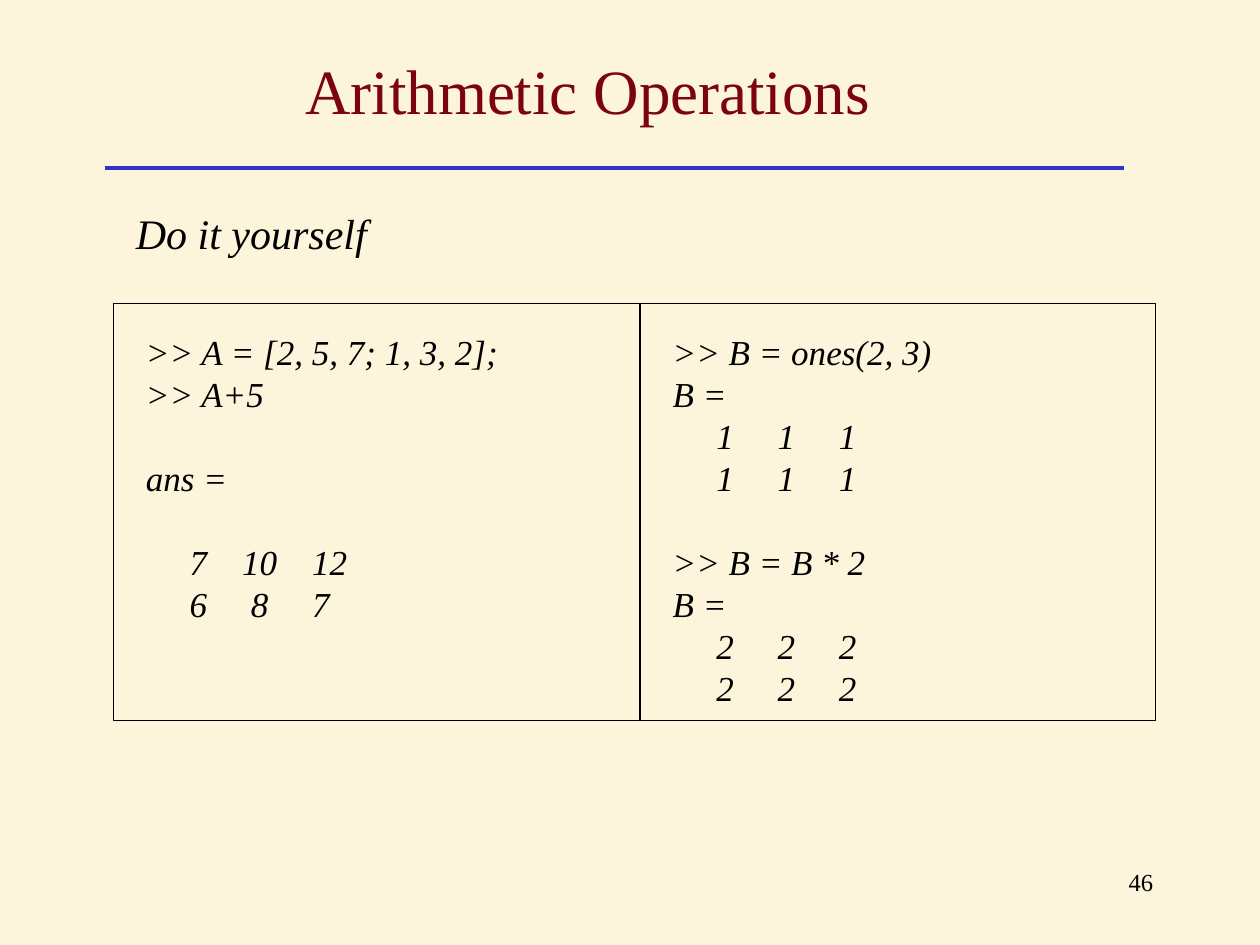
from dataclasses import dataclass

import pptx
import pptx.dml.color
import pptx.enum.shapes
import pptx.enum.text
import pptx.util
from lxml import etree
from pptx.oxml.ns import qn

WIDTH, HEIGHT = 10, 7.5
PP_ALIGN = pptx.enum.text.PP_ALIGN
MSO_ANCHOR = pptx.enum.text.MSO_ANCHOR


@dataclass(frozen=True)
class Theme:
    font: str = "Times New Roman"
    background: str = "FDF4DC"
    title: str = "7B0312"
    text: str = "000000"
    rule: str = "3333CC"
    title_pt: int = 36
    heading_pt: int = 24
    code_pt: int = 20
    number_pt: int = 14
    leading: float = 1.2
    rule_pt: float = 2.25
    frame_pt: float = 0.75


@dataclass(frozen=True)
class Box:
    """A rectangle in shares of the slide's width and height."""
    left: float
    top: float
    width: float
    height: float

    def emu(self) -> tuple:
        return (across(self.left), down(self.top),
                across(self.width), down(self.height))


@dataclass(frozen=True)
class Session:
    """Blocks of console lines, one blank line apart."""
    box: Box
    blocks: tuple


THEME = Theme()
TITLE = Box(0.058, 0.023, 0.817, 0.144)
HEADING = Box(0.098, 0.2133, 0.41, 0.0667)
FRAME = Box(0.09, 0.3213, 0.827, 0.4413)
NUMBER = Box(0.717, 0.9107, 0.208, 0.0667)
RULE_LEFT, RULE_RIGHT, RULE_TOP = 0.083, 0.892, 0.1777
DIVIDER = 0.508
PAD_X, PAD_Y = 0.016, 0.0213

SESSIONS = (
    Session(
        Box(FRAME.left + PAD_X, FRAME.top + PAD_Y, 0.386, 0.3253),
        ((">> A = [2, 5, 7; 1, 3, 2];", ">> A+5"),
         ("ans =",),
         ("     7    10    12", "     6     8     7"))),
    Session(
        Box(DIVIDER + PAD_X, FRAME.top + PAD_Y, 0.378, 0.4133),
        ((">> B = ones(2, 3)", "B =",
          "     1     1     1", "     1     1     1"),
         (">> B = B * 2", "B =",
          "     2     2     2", "     2     2     2"))),
)


def across(share: float) -> int:
    return pptx.util.Inches(share * WIDTH)


def down(share: float) -> int:
    return pptx.util.Inches(share * HEIGHT)


def rgb(color: str) -> pptx.dml.color.RGBColor:
    return pptx.dml.color.RGBColor.from_string(color)


def add_run(p, text: str, size: int, color: str = THEME.text,
            italic: bool = False) -> None:
    r = p.add_run()
    r.text = text
    r.font.name = THEME.font
    r.font.size = pptx.util.Pt(size)
    r.font.italic = italic
    r.font.color.rgb = rgb(color)


def add_text_frame(slide, box: Box):
    tf = slide.shapes.add_textbox(*box.emu()).text_frame
    tf.word_wrap = True
    return tf


def add_line(slide, x1: float, y1: float, x2: float, y2: float,
             color: str, weight: float) -> None:
    line = slide.shapes.add_connector(
        pptx.enum.shapes.MSO_CONNECTOR.STRAIGHT,
        across(x1), down(y1), across(x2), down(y2))
    line.line.color.rgb = rgb(color)
    line.line.width = pptx.util.Pt(weight)
    etree.SubElement(line._element.spPr, qn("a:effectLst"))


def add_title(slide, text: str) -> None:
    sp = slide.shapes.title
    sp.left, sp.top, sp.width, sp.height = TITLE.emu()
    tf = sp.text_frame
    tf.auto_size = pptx.enum.text.MSO_AUTO_SIZE.NONE
    tf.vertical_anchor = MSO_ANCHOR.MIDDLE
    p = tf.paragraphs[0]
    p.alignment = PP_ALIGN.CENTER
    add_run(p, text, THEME.title_pt, THEME.title)


def add_frame(slide) -> None:
    sp = slide.shapes.add_shape(
        pptx.enum.shapes.MSO_SHAPE.RECTANGLE, *FRAME.emu())
    sp.shadow.inherit = False
    sp.fill.background()
    sp.line.color.rgb = rgb(THEME.text)
    sp.line.width = pptx.util.Pt(THEME.frame_pt)
    add_line(slide, DIVIDER, FRAME.top, DIVIDER, FRAME.top + FRAME.height,
             THEME.text, THEME.frame_pt)


def add_session(slide, session: Session) -> None:
    tf = add_text_frame(slide, session.box)
    line_height = pptx.util.Pt(THEME.code_pt * THEME.leading)
    for b, block in enumerate(session.blocks):
        for i, text in enumerate(block):
            first = b == 0 and i == 0
            p = tf.paragraphs[0] if first else tf.add_paragraph()
            p.line_spacing = line_height
            if b > 0 and i == 0:
                p.space_before = line_height
            add_run(p, text, THEME.code_pt, italic=True)


def main() -> None:
    prs = pptx.Presentation()
    prs.slide_width = pptx.util.Inches(WIDTH)
    prs.slide_height = pptx.util.Inches(HEIGHT)
    slide = prs.slides.add_slide(prs.slide_layouts.get_by_name("Title Only"))
    slide.background.fill.solid()
    slide.background.fill.fore_color.rgb = rgb(THEME.background)

    add_line(slide, RULE_LEFT, RULE_TOP, RULE_RIGHT, RULE_TOP,
             THEME.rule, THEME.rule_pt)
    add_title(slide, "Arithmetic Operations")
    add_frame(slide)
    for session in SESSIONS:
        add_session(slide, session)

    p = add_text_frame(slide, HEADING).paragraphs[0]
    p.line_spacing = pptx.util.Pt(THEME.heading_pt * THEME.leading)
    add_run(p, "Do it yourself", THEME.heading_pt, italic=True)

    p = add_text_frame(slide, NUMBER).paragraphs[0]
    p.alignment = PP_ALIGN.RIGHT
    add_run(p, "46", THEME.number_pt)

    prs.save("out.pptx")


if __name__ == "__main__":
    main()
